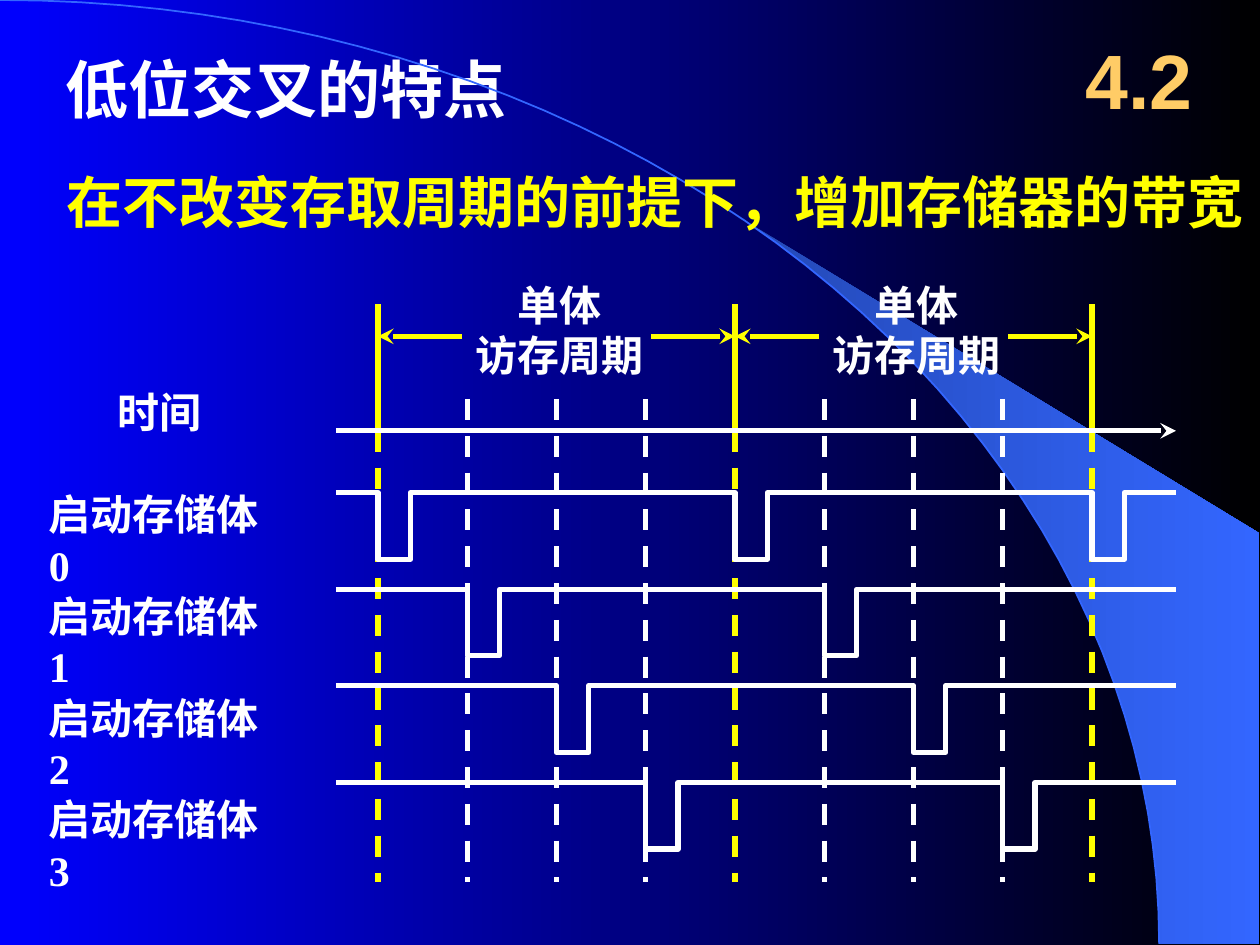
from dataclasses import dataclass
from math import cos, radians, sin

from lxml import etree
from pptx import Presentation
from pptx import util as u
from pptx.dml.color import RGBColor
from pptx.enum import dml, shapes, text
from pptx.oxml.ns import qn

WHITE = RGBColor(0xFF, 0xFF, 0xFF)
YELLOW = RGBColor(0xFF, 0xFF, 0x00)
ORANGE = RGBColor(0xFF, 0xCC, 0x66)
BLUE = RGBColor(0x00, 0x00, 0xFF)
BLACK = RGBColor(0x00, 0x00, 0x00)
SKY = RGBColor(0x33, 0x66, 0xFF)
NAVY = RGBColor(0x24, 0x49, 0xB6)

# Time grid: two access cycles, each cut into one slot per bank
START, CYCLE, BANKS = 216, 204, 4
SLOT = CYCLE / BANKS
LEFT, RIGHT = 192, 672
AXIS_Y, SPAN_Y, END_Y = 246.2, 192.2, 504
PULSE, DEPTH = 18.5, 38


@dataclass
class Label:
    words: str
    x: float
    y: float
    w: float
    h: float
    size: int = 24
    color: RGBColor = WHITE
    face: str = "Times New Roman"
    align: text.PP_ALIGN = text.PP_ALIGN.LEFT
    anchor: text.MSO_ANCHOR = text.MSO_ANCHOR.TOP
    wrap: bool = False


@dataclass
class Line:
    x1: float
    y1: float
    x2: float
    y2: float
    color: RGBColor = WHITE
    dash: bool = False
    arrow: bool = False


def put_text(box, label: Label) -> None:
    """Place a text box or placeholder and fill it with the label."""
    box.left, box.top = u.Pt(label.x), u.Pt(label.y)
    box.width, box.height = u.Pt(label.w), u.Pt(label.h)
    frame = box.text_frame
    frame.text = label.words
    frame.word_wrap = label.wrap
    frame.auto_size = text.MSO_AUTO_SIZE.NONE
    frame.vertical_anchor = label.anchor
    for para in frame.paragraphs:
        para.alignment = label.align
        font = para.font
        font.name, font.size, font.bold = label.face, u.Pt(label.size), True
        font.color.rgb = label.color


def add_label(slide, label: Label) -> None:
    put_text(slide.shapes.add_textbox(0, 0, 0, 0), label)


def add_line(slide, line: Line) -> None:
    link = slide.shapes.add_connector(
        shapes.MSO_CONNECTOR.STRAIGHT,
        u.Pt(line.x1), u.Pt(line.y1), u.Pt(line.x2), u.Pt(line.y2))
    link.line.color.rgb = line.color
    link.line.width = u.Pt(3)
    if line.dash:
        link.line.dash_style = dml.MSO_LINE.DASH
    if line.arrow:
        etree.SubElement(link.line._get_or_add_ln(), qn("a:tailEnd"), type="stealth")
    etree.SubElement(link._element.spPr, qn("a:effectLst"))


def add_path(slide, points: list, close: bool = False):
    """Draw straight segments through the points, without fill."""
    dots = [(u.Pt(x), u.Pt(y)) for x, y in points]
    pen = slide.shapes.build_freeform(*dots[0], scale=1.0)
    pen.add_line_segments(dots[1:], close=close)
    shape = pen.convert_to_shape()
    shape.shadow.inherit = False
    shape.fill.background()
    return shape


def set_fade(fill, first: RGBColor, last: RGBColor) -> None:
    """Fade from left to right."""
    fill.gradient()
    fill.gradient_angle = 0
    for stop, color, place in zip(fill.gradient_stops, (first, last), (0, 1)):
        stop.color.rgb = color
        stop.position = place


def curve(first: int) -> list:
    """Points of the quarter ellipse, from an angle in degrees up to 90."""
    return [(662.4 * sin(radians(a)), 539.3 * (1 - cos(radians(a))))
            for a in range(first, 91, 2)]


def add_decor(slide) -> None:
    beam = add_path(slide, curve(40) + [(719.3, 539.3), (719.3, 304.6)], True)
    set_fade(beam.fill, NAVY, SKY)
    beam.line.fill.background()
    arc = add_path(slide, curve(0))
    arc.line.color.rgb = SKY
    arc.line.width = u.Pt(1)


def add_wave(slide, bank: int) -> None:
    """Draw the start signal of one bank, low once in each cycle."""
    high = 281.5 + 55.2 * bank
    low = high + DEPTH
    points = [(LEFT, high)]
    fall = START + bank * SLOT
    while fall < RIGHT:
        rise = fall + PULSE
        points += [(fall, high), (fall, low), (rise, low), (rise, high)]
        fall += CYCLE
    wave = add_path(slide, points + [(RIGHT, high)])
    wave.line.color.rgb = WHITE
    wave.line.width = u.Pt(3)


def main() -> None:
    deck = Presentation()
    deck.slide_width, deck.slide_height = u.Pt(720), u.Pt(540)
    slide = deck.slides.add_slide(deck.slide_layouts[5])
    set_fade(slide.background.fill, BLUE, BLACK)
    add_decor(slide)

    put_text(slide.shapes.title, Label("低位交叉的特点", 30.2, 25.2, 267, 50.4, 36))
    add_label(slide, Label("在不改变存取周期的前提下，增加存储器的带宽",
                           31, 92.2, 689, 45.4, 32, YELLOW))
    add_label(slide, Label("4.2", 606, 12, 90, 66, 44, ORANGE, "Arial",
                           text.PP_ALIGN.CENTER, text.MSO_ANCHOR.MIDDLE, True))
    add_label(slide, Label("时间", 60, 217.4, 62.6, 36))

    for slot in range(2 * BANKS + 1):
        x = START + slot * SLOT
        if slot % BANKS:
            add_line(slide, Line(x, 228, x, END_Y, dash=True))
        else:
            add_line(slide, Line(x, AXIS_Y, x, END_Y, YELLOW, dash=True))
            add_line(slide, Line(x, 174, x, 252, YELLOW))
    add_line(slide, Line(LEFT, AXIS_Y, RIGHT, AXIS_Y, arrow=True))

    for left in (START, START + CYCLE):
        right = left + CYCLE
        add_label(slide, Label("单体\n访存周期", left + 48, 156.2, 111.6, 64.8,
                               align=text.PP_ALIGN.CENTER))
        add_line(slide, Line(left + 48, SPAN_Y, left, SPAN_Y, YELLOW, arrow=True))
        add_line(slide, Line(right - 48, SPAN_Y, right, SPAN_Y, YELLOW, arrow=True))

    for bank in range(BANKS):
        add_wave(slide, bank)
        add_label(slide, Label(f"启动存储体 {bank}", 20.9, 275.8 + 58.1 * bank,
                               144, 36, wrap=True))

    deck.save("out.pptx")


if __name__ == "__main__":
    main()
